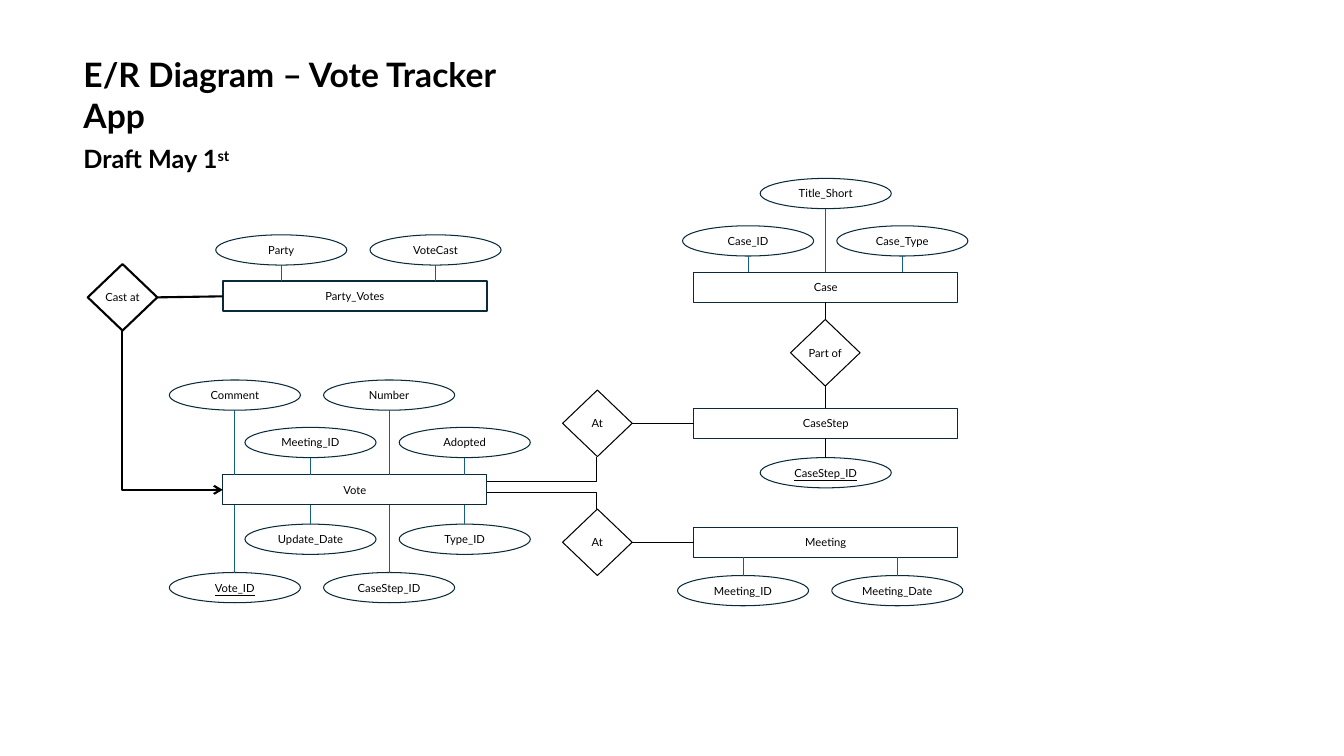
from lxml.etree import SubElement
from pptx import Presentation
from pptx.dml.color import RGBColor
from pptx.enum.shapes import MSO_CONNECTOR, MSO_SHAPE
from pptx.enum.text import MSO_ANCHOR, PP_ALIGN
from pptx.oxml.ns import qn
from pptx.util import Inches, Pt

COLORS = {"paper": "FFFFFF", "ink": "000000", "outline": "092A39", "accent": "156082"}


class Diagram:
    font = "Lato"
    thin, bold = 0.75, 1.5
    entity_size = (2.62, 0.3)
    attribute_size = (1.3, 0.3)
    relation_size = (0.69, 0.66)

    def __init__(self, slide):
        self.slide = slide

    def color(self, name):
        return RGBColor.from_string(COLORS[name])

    def style(self, run, size, bold=False):
        run.font.name = self.font
        run.font.size = Pt(size)
        run.font.bold = bold
        run.font.color.rgb = self.color("ink")

    def node(self, kind, label, left, top, size, outline, weight):
        node = self.slide.shapes.add_shape(kind, *map(Inches, (left, top, *size)))
        node.shadow.inherit = False
        node.fill.solid()
        node.fill.fore_color.rgb = self.color("paper")
        node.line.color.rgb = self.color(outline)
        node.line.width = Pt(weight)
        frame = node.text_frame
        frame.text = label
        frame.vertical_anchor = MSO_ANCHOR.MIDDLE
        frame.paragraphs[0].alignment = PP_ALIGN.CENTER
        self.style(frame.paragraphs[0].runs[0], 8)
        return frame

    def entity(self, label, left, top, weight=thin):
        self.node(MSO_SHAPE.RECTANGLE, label, left, top, self.entity_size, "outline", weight)

    def relation(self, label, left, top, weight=thin):
        frame = self.node(MSO_SHAPE.DIAMOND, label, left, top, self.relation_size, "ink", weight)
        frame.margin_left = frame.margin_right = 0
        frame.word_wrap = False

    def attribute(self, label, left, top, entity_top, key=False, stem="accent"):
        width, height = self.attribute_size
        frame = self.node(MSO_SHAPE.OVAL, label, left, top, self.attribute_size, "outline", self.thin)
        frame.paragraphs[0].runs[0].font.underline = key
        middle = left + width / 2
        if top < entity_top:
            self.link((middle, top + height), (middle, entity_top), stem)
        else:
            self.link((middle, entity_top + self.entity_size[1]), (middle, top), stem)

    def link(self, start, end, color="ink", weight=thin, bent=False, arrow=False):
        kind = MSO_CONNECTOR.ELBOW if bent else MSO_CONNECTOR.STRAIGHT
        link = self.slide.shapes.add_connector(kind, *map(Inches, (*start, *end)))
        link.line.color.rgb = self.color(color)
        link.line.width = Pt(weight)
        properties = link._element.spPr
        if bent:
            properties.find(qn("a:prstGeom")).set("prst", "bentConnector2")
        if arrow:
            SubElement(properties.find(qn("a:ln")), qn("a:headEnd"), type="arrow")
        SubElement(properties, qn("a:effectLst"))

    def heading(self, title, draft, ordinal):
        box = self.slide.shapes.add_textbox(*map(Inches, (0.73, 0.49, 4.94, 1.31)))
        frame = box.text_frame
        frame.word_wrap = True
        frame.text = title
        self.style(frame.paragraphs[0].runs[0], 24, True)
        subtitle = frame.add_paragraph()
        subtitle.space_before = Pt(6)
        for text in (draft, ordinal):
            run = subtitle.add_run()
            run.text = text
            self.style(run, 18, True)
        run.font._element.set("baseline", "30000")


def main():
    presentation = Presentation()
    presentation.slide_width = Inches(13.33)
    presentation.slide_height = Inches(7.5)
    diagram = Diagram(presentation.slides.add_slide(presentation.slide_layouts[6]))

    left_column, right_column = 2.21, 6.88
    party_top, vote_top, case_top, step_top, meeting_top = 2.79, 4.71, 2.7, 4.05, 5.23

    diagram.heading("E/R Diagram – Vote Tracker App", "Draft May 1", "st")

    for label, left, top, weight in [
        ("Party_Votes", left_column, party_top, diagram.bold),
        ("Vote", left_column, vote_top, diagram.thin),
        ("Case", right_column, case_top, diagram.thin),
        ("CaseStep", right_column, step_top, diagram.thin),
        ("Meeting", right_column, meeting_top, diagram.thin),
    ]:
        diagram.entity(label, left, top, weight)

    pitch = 1.53
    for entity_top, left, top, labels in [
        (party_top, 2.14, 2.33, ("Party", "VoteCast")),
        (vote_top, 1.68, 3.77, ("Comment", "Number")),
        (vote_top, 2.43, 4.24, ("Meeting_ID", "Adopted")),
        (vote_top, 2.43, 5.2, ("Update_Date", "Type_ID")),
        (vote_top, 1.68, 5.68, ("Vote_ID", "CaseStep_ID")),
        (case_top, 7.54, 1.77, ("Title_Short",)),
        (case_top, 6.77, 2.24, ("Case_ID", "Case_Type")),
        (meeting_top, 6.72, 5.71, ("Meeting_ID", "Meeting_Date")),
    ]:
        for column, label in enumerate(labels):
            diagram.attribute(label, left + column * pitch, top, entity_top, label == "Vote_ID")
    diagram.attribute("CaseStep_ID", 7.54, 4.54, step_top, key=True, stem="ink")

    diagram.relation("Cast at", 0.87, 2.62, diagram.bold)
    diagram.relation("Part of", 7.84, 3.17)
    diagram.link((1.56, 2.95), (2.21, 2.94), weight=diagram.bold)
    diagram.link((2.21, 4.86), (1.21, 3.28), weight=diagram.bold, bent=True, arrow=True)
    diagram.link((8.19, 3), (8.19, 3.17))
    diagram.link((8.19, 3.83), (8.19, 4.05))

    for top, vote_exit, diamond_tip in [(3.87, 4.78, 4.53), (5.05, 4.89, 5.05)]:
        diagram.relation("At", 5.58, top)
        diagram.link((6.27, top + 0.33), (right_column, top + 0.33))
        diagram.link((4.83, vote_exit), (5.92, diamond_tip), bent=True)

    presentation.save("out.pptx")


if __name__ == "__main__":
    main()
